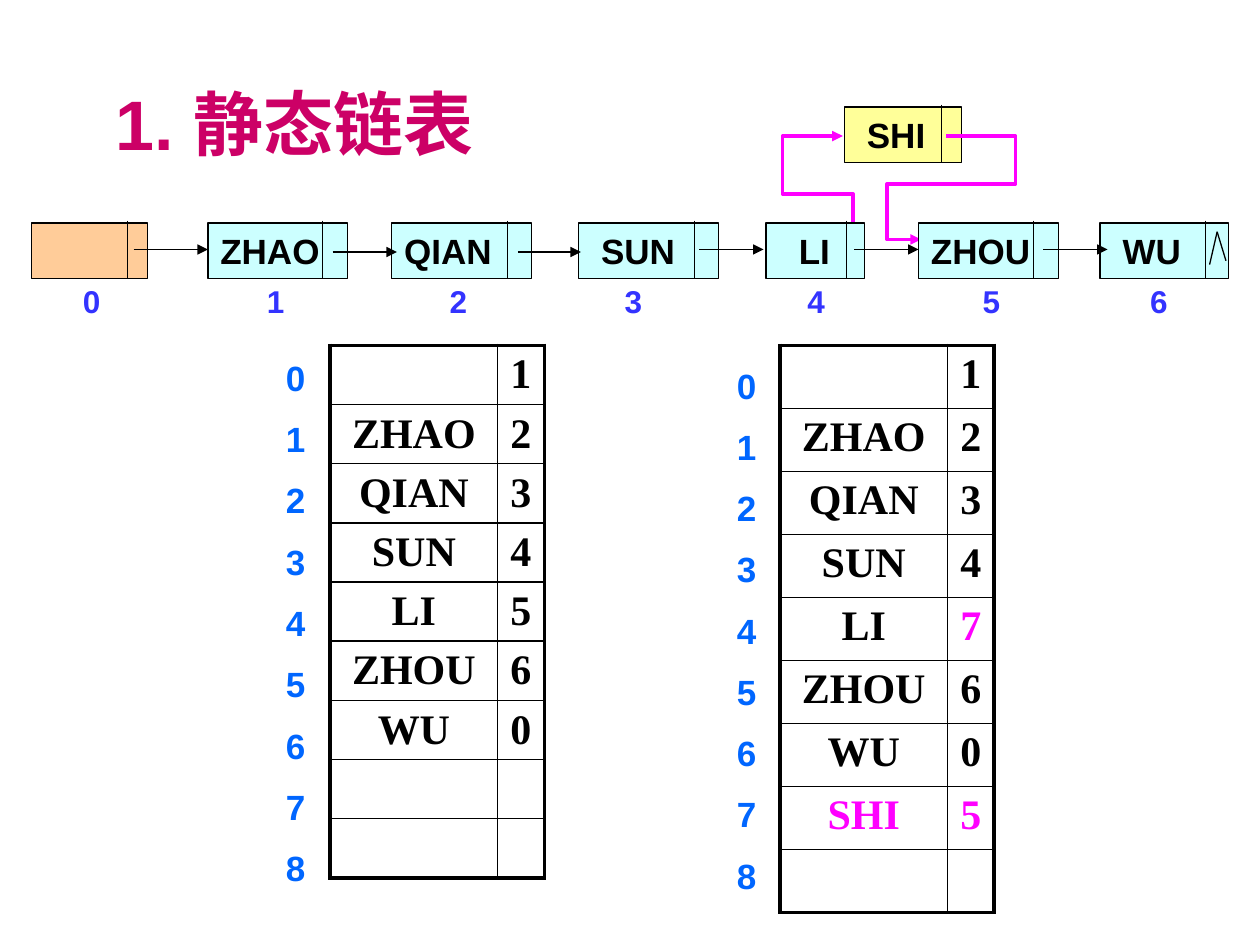
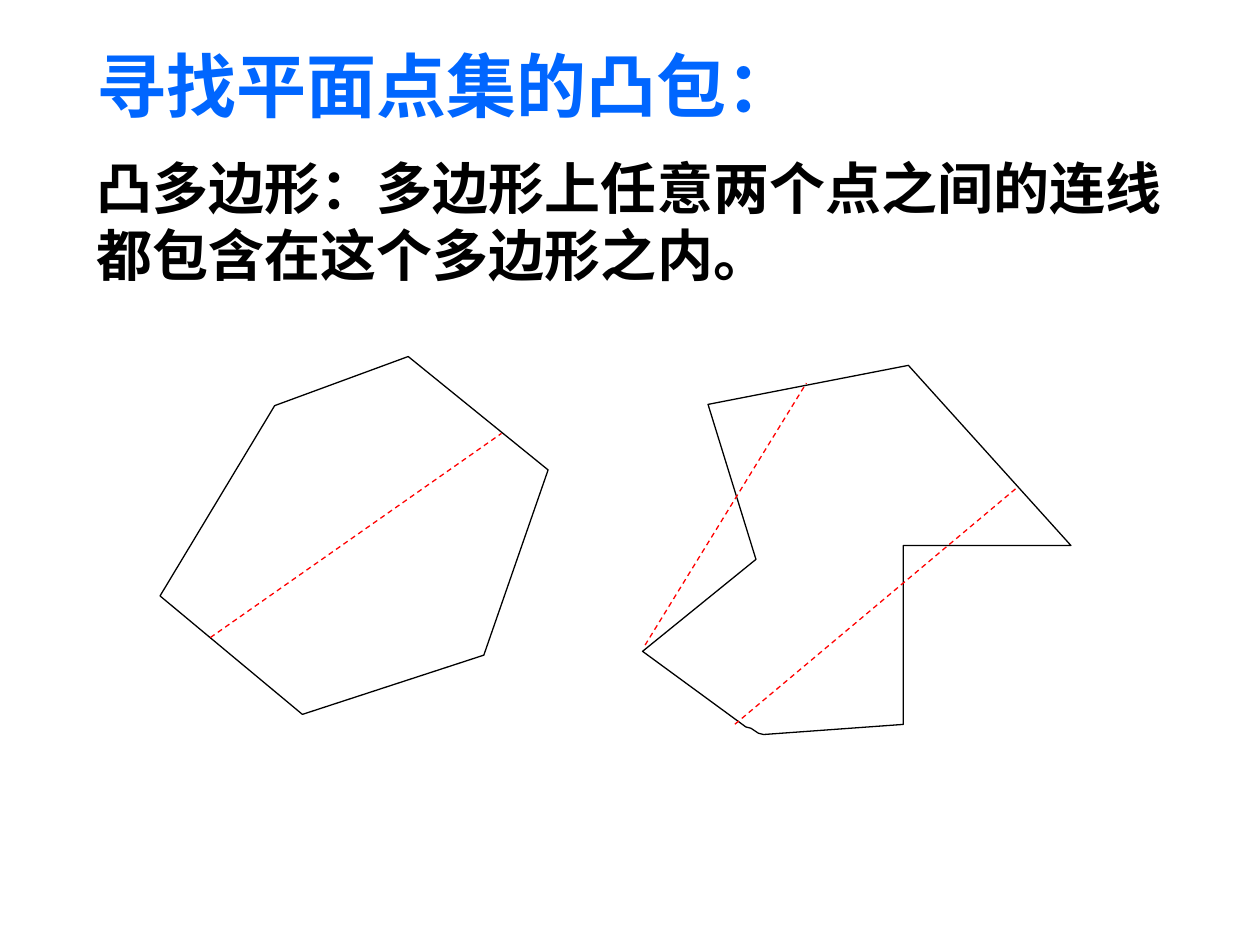
"""Builds two slides: a static linked list and the convex polygon definition."""
from dataclasses import dataclass

from lxml.etree import SubElement
from pptx import Presentation
from pptx.dml.color import RGBColor
from pptx.enum.dml import MSO_LINE
from pptx.enum.shapes import MSO_CONNECTOR as CONN, MSO_SHAPE as SHAPE
from pptx.enum.text import MSO_ANCHOR as ANCHOR, PP_ALIGN as ALIGN
from pptx.oxml.ns import qn
from pptx.util import Inches, Pt


@dataclass(frozen=True)
class Theme:
    sans: str = "Arial"
    serif: str = "Times New Roman"
    black: str = "000000"
    crimson: str = "CC0066"
    blue: str = "0066FF"
    violet: str = "3333FF"
    magenta: str = "FF00FF"
    red: str = "FF0000"
    node: str = "CCFFFF"
    head: str = "FFCC99"
    added: str = "FFFF99"
    title: int = 40
    body: int = 32
    cell: int = 24
    label: int = 20
    index: int = 18
    thin: float = 0.75
    inner: float = 1
    bold: float = 2
    outer: float = 2.25


T = Theme()
W, H = 10, 7.5

LIST_TITLE = "1. 静态链表"
HULL_TITLE = "寻找平面点集的凸包："
HULL_TEXT = "凸多边形：多边形上任意两个点之间的连线都包含在这个多边形之内。"

NODE_TOP, NODE_H, SPACE = 1.77, 0.44, 0.08
NODES = [
    ("", 0.25, 0.92, 0.76, 0),
    ("ZHAO", 1.65, 1.11, 0.91, 0),
    ("QIAN", 3.11, 1.11, 0.92, 0),
    ("SUN", 4.59, 1.11, 0.92, 1),
    ("LI", 6.08, 0.78, 0.64, 2),
    ("ZHOU", 7.29, 1.11, 0.91, 0),
    ("WU", 8.73, 1.02, 0.84, 1),
]
NEW_NODE = ("SHI", 6.7, 0.93, 0.77, 1)
NEW_TOP = 0.85
INDEX_TABS = [0.21, 1.67, 3.12, 4.51, 5.96, 7.35, 8.68]
LINKS = [(1.06, 1.65, 1.98), (2.64, 3.15, 2), (4.11, 4.61, 2),
         (5.55, 6.06, 1.98), (6.78, 7.29, 1.98), (8.28, 8.79, 1.98)]
NIL_MARK = [(9.73, 2.07), (9.66, 1.84), (9.6, 2.1)]
DETOURS = [
    [(6.77, 1.88), (6.77, 1.54), (6.21, 1.54), (6.21, 1.08), (6.69, 1.08)],
    [(7.51, 1.08), (8.06, 1.08), (8.06, 1.46), (7.04, 1.46), (7.04, 1.9),
     (7.31, 1.9)],
]

BEFORE = [("", 1), ("ZHAO", 2), ("QIAN", 3), ("SUN", 4), ("LI", 5),
          ("ZHOU", 6), ("WU", 0), ("", ""), ("", "")]
CHANGES = {4: ("LI", 7), 7: ("SHI", 5)}
AFTER = [CHANGES.get(i, row) for i, row in enumerate(BEFORE)]
TABLES = [
    dict(rows=BEFORE, left=2.62, row_h=0.47, marks=(2.17, 2.78)),
    dict(rows=AFTER, left=6.19, row_h=0.5, marks=(5.75, 2.84)),
]
TABLE_TOP, COLS = 2.74, (1.33, 0.37)

POLYGONS = [
    [(1.27, 4.73), (2.18, 3.22), (3.24, 2.83), (4.35, 3.73), (3.84, 5.2),
     (2.4, 5.67)],
    [(5.1, 5.17), (6, 4.44), (5.62, 3.21), (7.21, 2.9), (8.5, 4.33),
     (7.17, 4.33), (7.17, 5.75), (6.06, 5.83), (6.02, 5.82), (5.96, 5.78),
     (5.92, 5.77)],
]
CHORDS = [((5.12, 5.12), (6.4, 3.04)), ((8.06, 3.88), (5.83, 5.75)),
          ((1.67, 5.06), (3.98, 3.44))]


def rgb(color):
    return RGBColor.from_string(color)


def apply(obj, **values):
    for name, value in values.items():
        setattr(obj, name, value)


def write(p, text, size, color=T.black, font=T.sans):
    r = p.add_run()
    r.text = str(text)
    apply(r.font, name=font, size=Pt(size), bold=True)
    r.font.color.rgb = rgb(color)


def stroke(obj, color=T.black, width=T.thin, arrow=False):
    obj.line.color.rgb = rgb(color)
    obj.line.width = Pt(width)
    if arrow:
        SubElement(obj.line._get_or_add_ln(), qn("a:tailEnd"), type="triangle")


def add_text(s, box, lines, size, color=T.black, indent=0.1, gap=0):
    tf = s.shapes.add_textbox(*map(Inches, box)).text_frame
    apply(tf, word_wrap=True, margin_left=Inches(indent))
    for i, line in enumerate(lines):
        p = tf.paragraphs[0] if i == 0 else tf.add_paragraph()
        if i:
            p.space_before = Pt(gap)
        write(p, line, size, color)
    return tf


def add_line(s, start, end, dash=None, **style):
    sp = s.shapes.add_connector(CONN.STRAIGHT, *map(Inches, start + end))
    stroke(sp, **style)
    if dash:
        sp.line.dash_style = dash
    SubElement(sp._element.spPr, qn("a:effectLst"))


def add_path(s, points, close, **style):
    pts = [(Inches(x), Inches(y)) for x, y in points]
    fb = s.shapes.build_freeform(*pts[0], scale=1.0)
    fb.add_line_segments(pts[1:], close=close)
    sp = fb.convert_to_shape()
    sp.fill.background()
    sp.shadow.inherit = False
    stroke(sp, **style)


def add_node(s, node, top, fill):
    text, left, width, split, spaces = node
    sp = s.shapes.add_shape(SHAPE.RECTANGLE,
                            *map(Inches, (left, top, width, NODE_H)))
    sp.shadow.inherit = False
    sp.fill.solid()
    sp.fill.fore_color.rgb = rgb(fill)
    stroke(sp)
    if text:
        tf = sp.text_frame
        apply(tf, word_wrap=True, vertical_anchor=ANCHOR.MIDDLE, margin_right=0,
              margin_left=Inches(0.1 + SPACE * spaces))
        tf.paragraphs[0].alignment = ALIGN.LEFT
        write(tf.paragraphs[0], text, T.label)
    x = left + split
    add_line(s, (x, top - 0.02), (x, top + NODE_H))


def add_border(cell, side, width):
    ln = SubElement(cell._tc.get_or_add_tcPr(), qn(f"a:ln{side}"),
                    w=str(Pt(width)))
    SubElement(SubElement(ln, qn("a:solidFill")), qn("a:srgbClr"), val=T.black)


def add_list_table(s, rows, left, row_h, marks):
    n, m = len(rows), len(COLS)
    box = map(Inches, (left, TABLE_TOP, sum(COLS), n * row_h))
    table = s.shapes.add_table(n, m, *box).table
    apply(table, first_row=False, horz_banding=False)
    for c, width in enumerate(COLS):
        table.columns[c].width = Inches(width)
    for r, row in enumerate(rows):
        table.rows[r].height = Inches(row_h)
        for c, value in enumerate(row):
            cell = table.cell(r, c)
            apply(cell, margin_left=Inches(0.04), margin_right=Inches(0.04),
                  margin_top=Inches(0.05), margin_bottom=Inches(0.02))
            edges = dict(L=c == 0, R=c == m - 1, T=r == 0, B=r == n - 1)
            for side, is_outer in edges.items():
                add_border(cell, side, T.outer if is_outer else T.inner)
            cell.fill.background()
            p = cell.text_frame.paragraphs[0]
            p.alignment = ALIGN.CENTER
            if value != "":
                changed = value != BEFORE[r][c]
                write(p, value, T.cell, T.magenta if changed else T.black,
                      T.serif)
    add_text(s, (*marks, 0.54, 4.43), range(n), T.label, T.blue, gap=11)


def add_index_row(s):
    tf = add_text(s, (0.35, 2.19, W - 0.35, 0.4), [], T.index)
    p = tf.paragraphs[0]
    tabs = SubElement(p._p.get_or_add_pPr(), qn("a:tabLst"))
    for pos in INDEX_TABS:
        SubElement(tabs, qn("a:tab"), pos=str(Inches(pos)), algn="l")
    write(p, "".join(f"\t{i}" for i in range(len(INDEX_TABS))), T.index, T.violet)


def build_list_slide(s):
    for spec_ in TABLES:
        add_list_table(s, **spec_)
    add_node(s, NEW_NODE, NEW_TOP, T.added)
    for points in DETOURS:
        add_path(s, points, False, color=T.magenta, width=T.bold, arrow=True)
    for i, node in enumerate(NODES):
        add_node(s, node, NODE_TOP, T.node if i else T.head)
    for start, end in zip(NIL_MARK, NIL_MARK[1:]):
        add_line(s, start, end)
    add_index_row(s)
    for x1, x2, y in LINKS:
        add_line(s, (x1, y), (x2, y), arrow=True)
    add_text(s, (0.67, 0.59, 4.64, 0.77), [LIST_TITLE], T.title, T.crimson,
             indent=0.25)


def build_hull_slide(s):
    add_text(s, (0.67, 0.29, 7.23, 0.77), [HULL_TITLE], T.title, T.blue)
    add_text(s, (0.67, 1.17, 8.79, 1.18), [HULL_TEXT], T.body)
    for points in POLYGONS:
        add_path(s, points, True)
    for start, end in CHORDS:
        add_line(s, start, end, dash=MSO_LINE.DASH, color=T.red)


def main():
    prs = Presentation()
    apply(prs, slide_width=Inches(W), slide_height=Inches(H))
    for build in (build_list_slide, build_hull_slide):
        build(prs.slides.add_slide(prs.slide_layouts[6]))
    prs.save("out.pptx")


if __name__ == "__main__":
    main()
